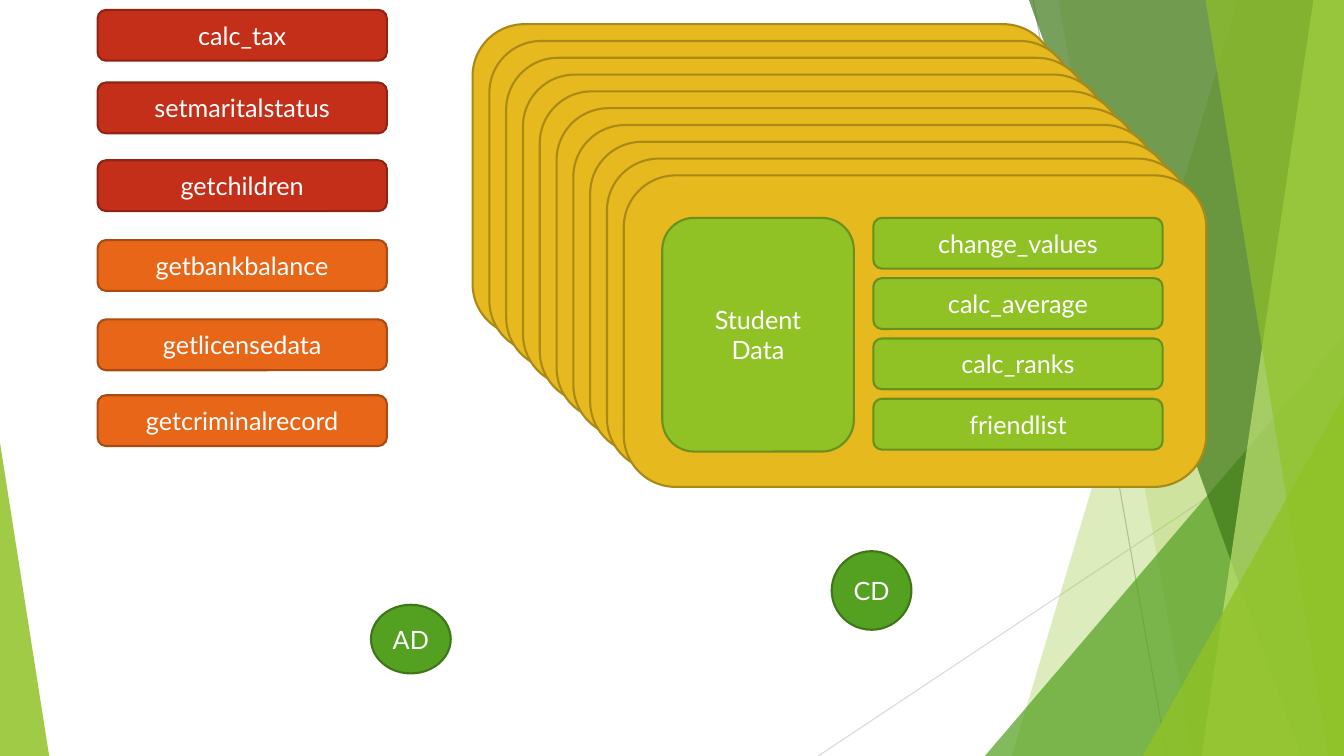
from dataclasses import dataclass

import lxml.etree
import pptx
import pptx.dml.color
import pptx.enum.shapes
import pptx.enum.text
import pptx.oxml.ns
import pptx.util

Cm = pptx.util.Cm
Pt = pptx.util.Pt
Kind = pptx.enum.shapes.MSO_SHAPE

SLIDE_W, SLIDE_H = 33.87, 19.05


@dataclass(frozen=True)
class Paint:
    fill: str
    line: str


@dataclass(frozen=True)
class Theme:
    font: str = "Lato"
    text_size: float = 18
    text: str = "FFFFFF"
    outline_pt: float = 1.5
    thin_pt: float = 0.75
    gold: Paint = Paint("E6B91E", "AA8916")
    red: Paint = Paint("C42F1A", "912313")
    orange: Paint = Paint("E76618", "AB4B12")
    lime: Paint = Paint("90C226", "6B901C")
    green: Paint = Paint("54A021", "3E7618")
    forest: str = "3F7819"
    pale: str = "C0E474"
    grey: str = "BFBFBF"
    light_grey: str = "D9D9D9"


THEME = Theme()


@dataclass(frozen=True)
class Box:
    left: float
    top: float
    width: float
    height: float
    paint: Paint
    text: str = ""
    kind: Kind = Kind.ROUNDED_RECTANGLE


@dataclass(frozen=True)
class Ray:
    start: tuple[float, float]
    end: tuple[float, float]
    color: str


@dataclass(frozen=True)
class Band:
    """Area from a slanted left edge to the right side of the slide."""
    top_x: float
    bottom_x: float
    color: str
    opacity: int


@dataclass(frozen=True)
class Wedge:
    """Triangle on the bottom edge; apex is 0 at its left, 1 at its right."""
    left: float
    top: float
    width: float
    apex: float
    color: str
    opacity: int


RAYS = [
    Ray((26.04, 0), (29.41, SLIDE_H), THEME.grey),
    Ray((SLIDE_W, 10.24), (20.62, SLIDE_H), THEME.light_grey),
]
FACETS = [
    Band(31.19, 25.5, THEME.lime.fill, 30),
    Band(26.67, 30.05, THEME.lime.fill, 20),
    Wedge(24.82, 8.46, 9.05, 1, THEME.green.fill, 72),
    Band(25.93, 32.79, THEME.forest, 70),
    Band(33.1, 30.28, THEME.pale, 70),
    Band(30.38, 33.48, THEME.lime.fill, 65),
    Wedge(28.8, 9.98, 5.07, 1, THEME.lime.fill, 80),
    Wedge(0, 11.15, 1.24, 0, THEME.lime.fill, 85),
]

BUTTON_W, BUTTON_H = 7.29, 1.28
LOOSE_FUNCTIONS = [
    ("calc_tax", 0.25, THEME.red),
    ("setmaritalstatus", 2.08, THEME.red),
    ("getchildren", 4.04, THEME.red),
    ("getbankbalance", 6.05, THEME.orange),
    ("getlicensedata", 8.05, THEME.orange),
    ("getcriminalrecord", 9.96, THEME.orange),
]
METHODS = ["change_values", "calc_average", "calc_ranks", "friendlist"]
METHOD_TOP, METHOD_STEP = 5.49, 1.52
CARD_COUNT, CARD_SHIFT = 10, 3.81 / 9

BOXES = [
    *(Box(2.46, top, BUTTON_W, BUTTON_H, paint, name)
      for name, top, paint in LOOSE_FUNCTIONS),
    Box(9.35, 15.24, 2.01, 1.73, THEME.green, "AD", Kind.OVAL),
    Box(20.96, 13.89, 2.01, 1.98, THEME.green, "CD", Kind.OVAL),
    *(Box(11.91 + i * CARD_SHIFT, 0.61 + i * CARD_SHIFT, 14.68, 7.85, THEME.gold)
      for i in range(CARD_COUNT)),
    *(Box(22.01, METHOD_TOP + i * METHOD_STEP, BUTTON_W, BUTTON_H, THEME.lime, name)
      for i, name in enumerate(METHODS)),
    Box(16.69, METHOD_TOP, 4.83, 5.89, THEME.lime, "Student\nData"),
]


def rgb(color: str) -> pptx.dml.color.RGBColor:
    return pptx.dml.color.RGBColor.from_string(color)


def fill_shape(sp, color: str, opacity: int = 100) -> None:
    sp.shadow.inherit = False
    sp.fill.solid()
    sp.fill.fore_color.rgb = rgb(color)
    if opacity < 100:
        clr = sp._element.spPr.find(".//" + pptx.oxml.ns.qn("a:srgbClr"))
        alpha = lxml.etree.SubElement(clr, pptx.oxml.ns.qn("a:alpha"))
        alpha.set("val", str(opacity * 1000))


def draw_ray(shapes, ray: Ray) -> None:
    points = [Cm(v) for v in (*ray.start, *ray.end)]
    cn = shapes.add_connector(pptx.enum.shapes.MSO_CONNECTOR.STRAIGHT, *points)
    cn.line.color.rgb = rgb(ray.color)
    cn.line.width = Pt(THEME.thin_pt)
    lxml.etree.SubElement(cn._element.spPr, pptx.oxml.ns.qn("a:effectLst"))


def draw_facet(shapes, facet: Band | Wedge) -> None:
    if isinstance(facet, Band):
        builder = shapes.build_freeform(Cm(facet.top_x), 0)
        corners = [(SLIDE_W, 0), (SLIDE_W, SLIDE_H), (facet.bottom_x, SLIDE_H)]
        builder.add_line_segments([(Cm(x), Cm(y)) for x, y in corners])
        sp = builder.convert_to_shape()
    else:
        sp = shapes.add_shape(Kind.ISOSCELES_TRIANGLE, Cm(facet.left), Cm(facet.top),
                              Cm(facet.width), Cm(SLIDE_H - facet.top))
        sp.adjustments[0] = facet.apex
    fill_shape(sp, facet.color, facet.opacity)
    sp.line.fill.background()


def draw_box(shapes, box: Box) -> None:
    sp = shapes.add_shape(box.kind, Cm(box.left), Cm(box.top),
                          Cm(box.width), Cm(box.height))
    fill_shape(sp, box.paint.fill)
    sp.line.color.rgb = rgb(box.paint.line)
    sp.line.width = Pt(THEME.outline_pt)
    if not box.text:
        return
    tf = sp.text_frame
    tf.text = box.text
    tf.word_wrap = True
    tf.vertical_anchor = pptx.enum.text.MSO_ANCHOR.MIDDLE
    for p in tf.paragraphs:
        p.alignment = pptx.enum.text.PP_ALIGN.CENTER
        for r in p.runs:
            r.font.name = THEME.font
            r.font.size = Pt(THEME.text_size)
            r.font.color.rgb = rgb(THEME.text)


def main() -> None:
    prs = pptx.Presentation()
    prs.slide_width, prs.slide_height = Cm(SLIDE_W), Cm(SLIDE_H)
    shapes = prs.slides.add_slide(prs.slide_layouts[6]).shapes
    for ray in RAYS:
        draw_ray(shapes, ray)
    for facet in FACETS:
        draw_facet(shapes, facet)
    for box in BOXES:
        draw_box(shapes, box)
    prs.save("out.pptx")


if __name__ == "__main__":
    main()
